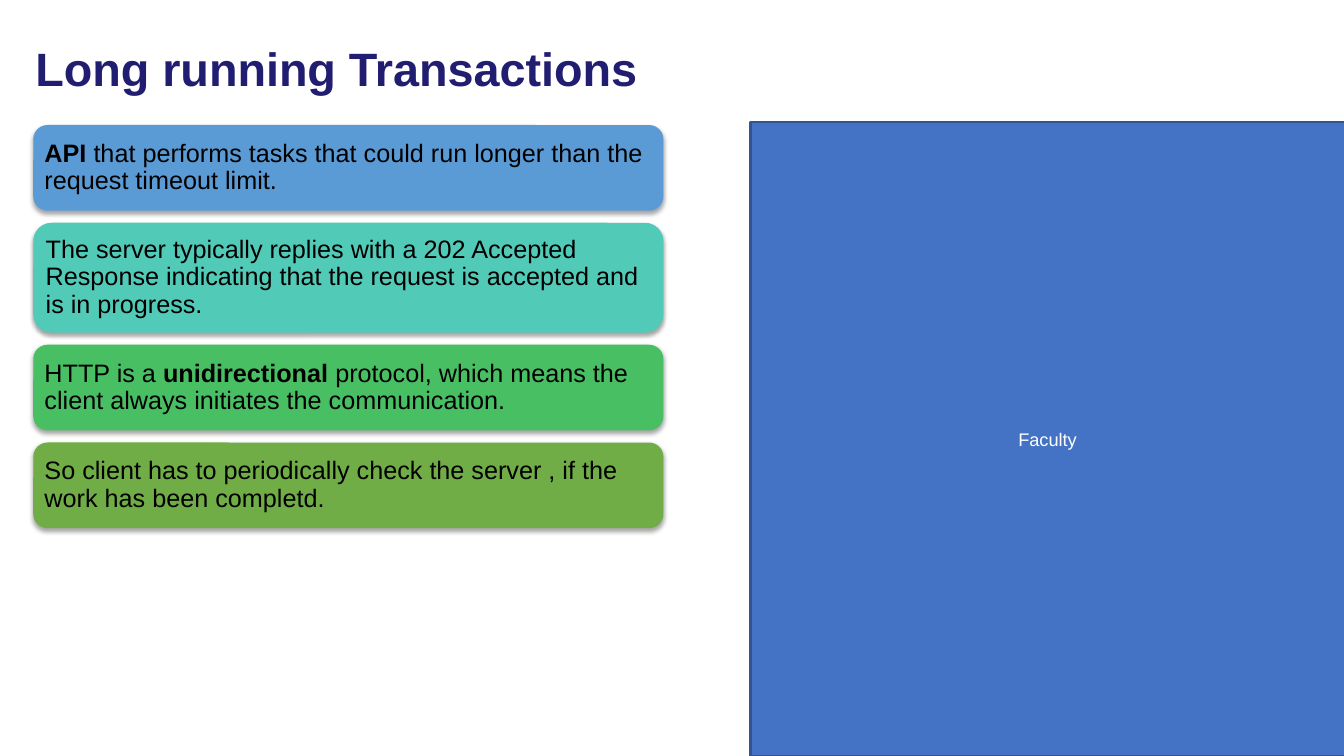
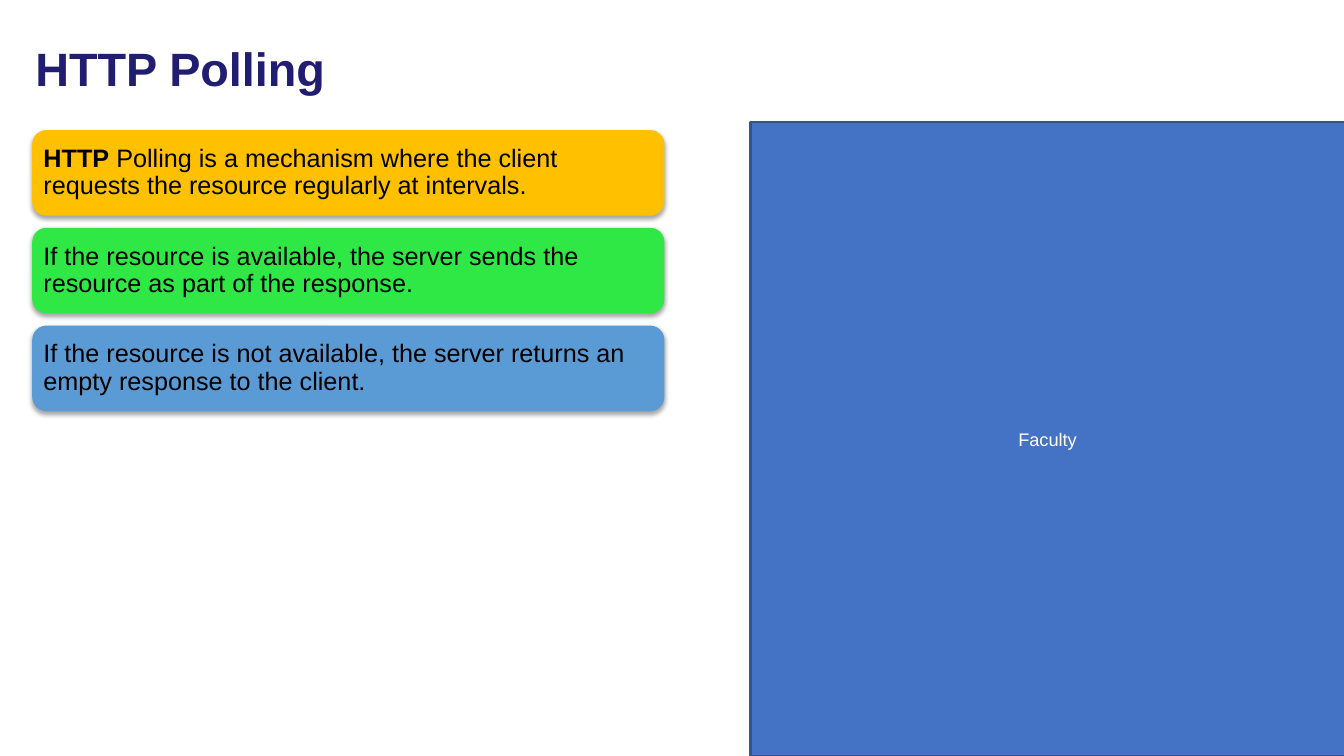
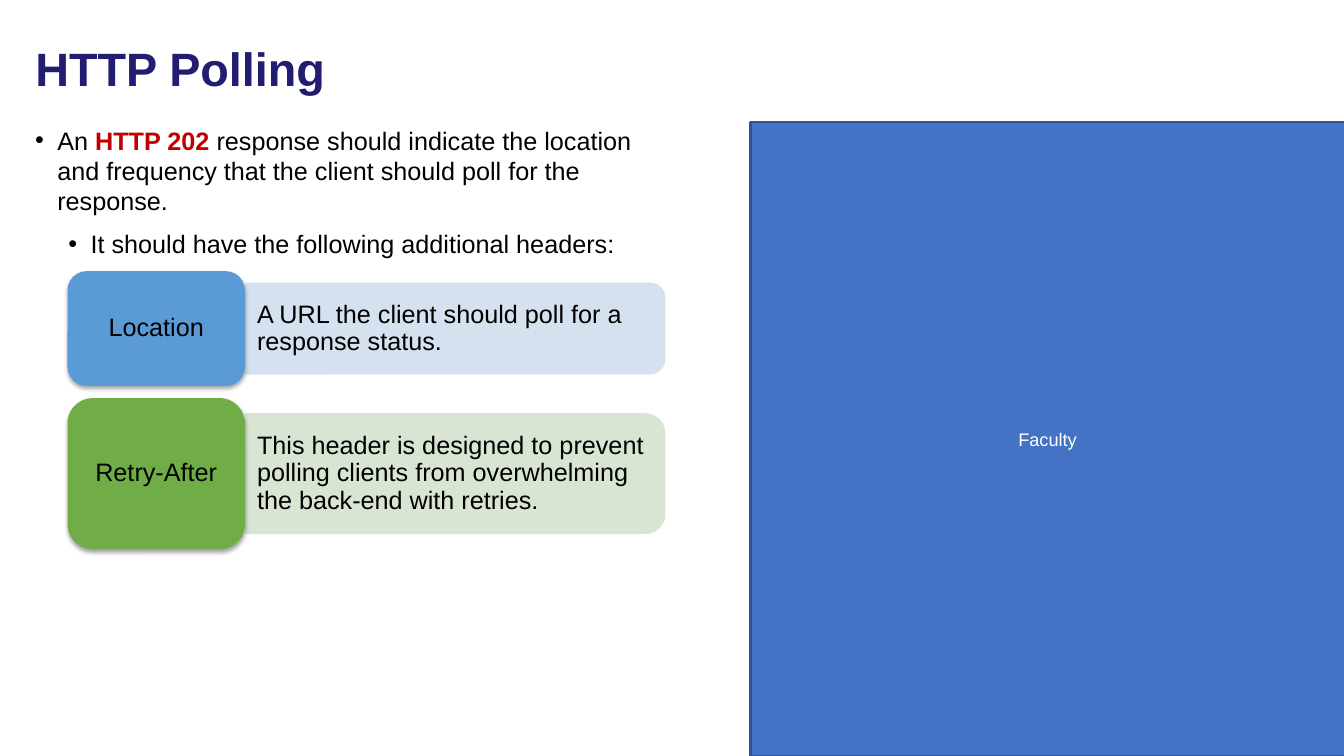
"""Build three slides on long running transactions and HTTP polling."""
from lxml import etree
from pptx import Presentation
from pptx.dml import color as dml
from pptx.enum import shapes, text
from pptx.oxml import ns
from pptx.util import Inches, Pt

COLORS = {
    "title": "211D70", "ink": "000000", "accent": "C00000", "white": "FFFFFF",
    "panel": "4472C4", "panel_edge": "325491", "blue": "5B9BD5",
    "teal": "52CAB8", "green": "49BF64", "olive": "70AD47",
    "amber": "FFC000", "lime": "30E845",
    "pale_blue": "D2DEEF", "pale_green": "D5E3CF",
}
FONT = "Arial"
BODY_SIZE = 18
CARD_GAP = 0.12


def rgb(name):
    """Return the palette colour with this name."""
    return dml.RGBColor.from_string(COLORS[name])


def write(paragraph, parts, size=BODY_SIZE, color="ink", bold=False,
          align=text.PP_ALIGN.LEFT, spacing=None):
    """Fill a paragraph with plain strings and (string, colour) bold parts."""
    paragraph.alignment = align
    if spacing:
        paragraph.line_spacing = spacing
    for part in parts:
        wording, run_color = (part, color) if isinstance(part, str) else part
        run = paragraph.add_run()
        run.text = wording
        run.font.name = FONT
        run.font.size = Pt(size)
        run.font.bold = bold or not isinstance(part, str)
        run.font.color.rgb = rgb(run_color)


def set_frame(frame, side=0.07, end=0.07, anchor=text.MSO_ANCHOR.MIDDLE):
    """Set wrapping, anchor and insets of a text frame."""
    frame.word_wrap = True
    frame.auto_size = text.MSO_AUTO_SIZE.NONE
    frame.vertical_anchor = anchor
    frame.margin_left = frame.margin_right = Inches(side)
    frame.margin_top = frame.margin_bottom = Inches(end)


def add_block(slide, preset, box, fill):
    """Add a filled preset shape without line or shadow."""
    block = slide.shapes.add_shape(preset, *map(Inches, box))
    block.shadow.inherit = False
    block.fill.solid()
    block.fill.fore_color.rgb = rgb(fill)
    block.line.fill.background()
    return block


def add_card(slide, box, fill, parts, end=0.07, align=text.PP_ALIGN.LEFT):
    """Add a rounded card with a soft shadow and its wording."""
    card = add_block(slide, shapes.MSO_SHAPE.ROUNDED_RECTANGLE, box, fill)
    effects = card.element.spPr.find(ns.qn("a:effectLst"))
    shadow = etree.SubElement(
        effects, ns.qn("a:outerShdw"), blurRad=str(Pt(3.1)), dist=str(Pt(1.8)),
        dir="5400000", algn="ctr", rotWithShape="0")
    tint = etree.SubElement(shadow, ns.qn("a:srgbClr"), val=COLORS["ink"])
    etree.SubElement(tint, ns.qn("a:alpha"), val="35000")
    set_frame(card.text_frame, end=end)
    write(card.text_frame.paragraphs[0], parts, align=align, spacing=0.9)


def add_card_stack(slide, left, top, width, cards):
    """Stack cards downwards with equal gaps."""
    for height, fill, parts in cards:
        add_card(slide, (left, top, width, height), fill, parts)
        top += height + CARD_GAP


def add_header_row(slide, left, top, height, fill, pale, label, detail):
    """Add a header name card with its explanation band to the right."""
    label_width, band_width, band_height = 1.76, 4.17, height * 0.8
    band_left = left + label_width
    middle = top + height / 2
    band = add_block(
        slide, shapes.MSO_SHAPE.ROUND_2_SAME_RECTANGLE,
        (band_left + (band_width - band_height) / 2, middle - band_width / 2,
         band_height, band_width), pale)
    band.rotation = 90
    tint = band.element.spPr.find(ns.qn("a:solidFill"))[0]
    etree.SubElement(tint, ns.qn("a:alpha"), val="90000")
    explanation = slide.shapes.add_textbox(
        *map(Inches, (band_left, middle - band_height / 2,
                      band_width - 0.04, band_height)))
    set_frame(explanation.text_frame, side=0.12)
    write(explanation.text_frame.paragraphs[0], [detail], spacing=0.9)
    add_card(slide, (left, top, label_width, height), fill, [label],
             end=0.04, align=text.PP_ALIGN.CENTER)


def add_bullets(slide, box, bullets):
    """Add a bulleted text box from (level, indent, parts) entries."""
    frame = slide.shapes.add_textbox(*map(Inches, box)).text_frame
    set_frame(frame, side=0.1, end=0.05, anchor=text.MSO_ANCHOR.TOP)
    for index, (level, indent, parts) in enumerate(bullets):
        paragraph = frame.add_paragraph() if index else frame.paragraphs[0]
        paragraph.level = level
        if index:
            paragraph.space_before = Pt(9.3)
        props = paragraph._p.get_or_add_pPr()
        props.set("marL", str(Inches(indent)))
        props.set("indent", str(Inches(-0.22)))
        tint = etree.SubElement(props, ns.qn("a:buClr"))
        etree.SubElement(tint, ns.qn("a:srgbClr"), val=COLORS["ink"])
        etree.SubElement(props, ns.qn("a:buFont"), typeface=FONT)
        etree.SubElement(props, ns.qn("a:buChar"), char="•")
        write(paragraph, parts)


def add_faculty_panel(slide):
    """Place the shared faculty panel on the layout of a slide."""
    panel = add_block(slide, shapes.MSO_SHAPE.RECTANGLE,
                      (7.44, 1.21, 5.9, 6.29), "panel")
    panel.line.color.rgb = rgb("panel_edge")
    panel.line.width = Pt(2)
    set_frame(panel.text_frame)
    write(panel.text_frame.paragraphs[0], ["Faculty"], size=13, color="white",
          align=text.PP_ALIGN.CENTER)
    slide.slide_layout.shapes.element.append(panel.element)


def add_titled_slide(deck, heading):
    """Add a title-only slide with the shared title style."""
    slide = deck.slides.add_slide(deck.slide_layouts[5])
    title = slide.shapes.title
    title.left, title.top, title.width, title.height = map(
        Inches, (0.25, 0.25, 11.81, 0.91))
    set_frame(title.text_frame, side=0.1, end=0.05)
    write(title.text_frame.paragraphs[0], [heading], size=33.4, color="title",
          bold=True, spacing=0.9)
    return slide


def main():
    """Build and save the deck."""
    deck = Presentation()
    deck.slide_width, deck.slide_height = Inches(13.33), Inches(7.5)

    transactions = add_titled_slide(deck, "Long running Transactions")
    add_faculty_panel(transactions)
    add_card_stack(transactions, 0.33, 1.24, 6.25, [
        (0.85, "blue", [("API", "ink"), " that performs tasks that could run "
                        "longer than the request timeout limit."]),
        (1.09, "teal", ["The server typically replies with a 202 Accepted "
                        "Response indicating that the request is accepted "
                        "and is in progress."]),
        (0.85, "green", ["HTTP is a ", ("unidirectional", "ink"),
                         " protocol, which means the client always "
                         "initiates the communication."]),
        (0.85, "olive", ["So client has to periodically check the server , "
                         "if the work has been completd."]),
    ])

    polling = add_titled_slide(deck, "HTTP Polling")
    add_card_stack(polling, 0.32, 1.29, 6.27, [
        (0.85, "amber", [("HTTP", "ink"), " Polling is a mechanism where the "
                         "client requests the resource regularly at "
                         "intervals."]),
        (0.85, "lime", ["If the resource is available, the server sends the "
                        "resource as part of the response."]),
        (0.85, "blue", ["If the resource is not available, the server "
                        "returns an empty response to the client."]),
    ])

    headers = add_titled_slide(deck, "HTTP Polling")
    add_bullets(headers, (0.25, 1.19, 6.42, 1.45), [
        (0, 0.22, ["An ", ("HTTP 202 ", "accent"),
                   "response should indicate the location and frequency "
                   "that the client should poll for the response."]),
        (1, 0.55, ["It should have the following additional headers:"]),
    ])
    add_header_row(headers, 0.67, 2.69, 1.14, "blue", "pale_blue", "Location",
                   "A URL the client should poll for a response status.")
    add_header_row(headers, 0.67, 3.95, 1.5, "olive", "pale_green",
                   "Retry-After",
                   "This header is designed to prevent polling clients from "
                   "overwhelming the back-end with retries.")

    deck.save("out.pptx")


if __name__ == "__main__":
    main()
